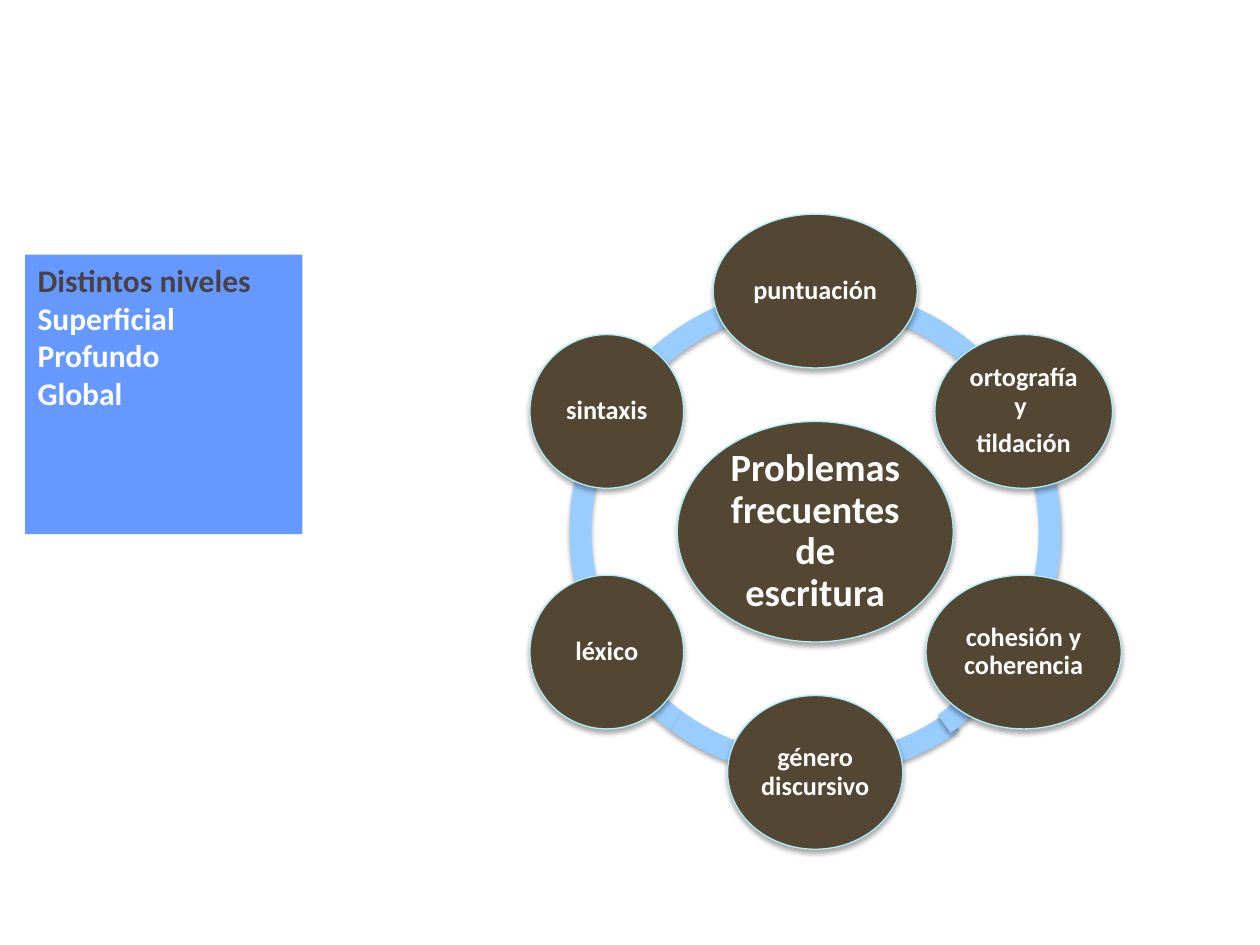
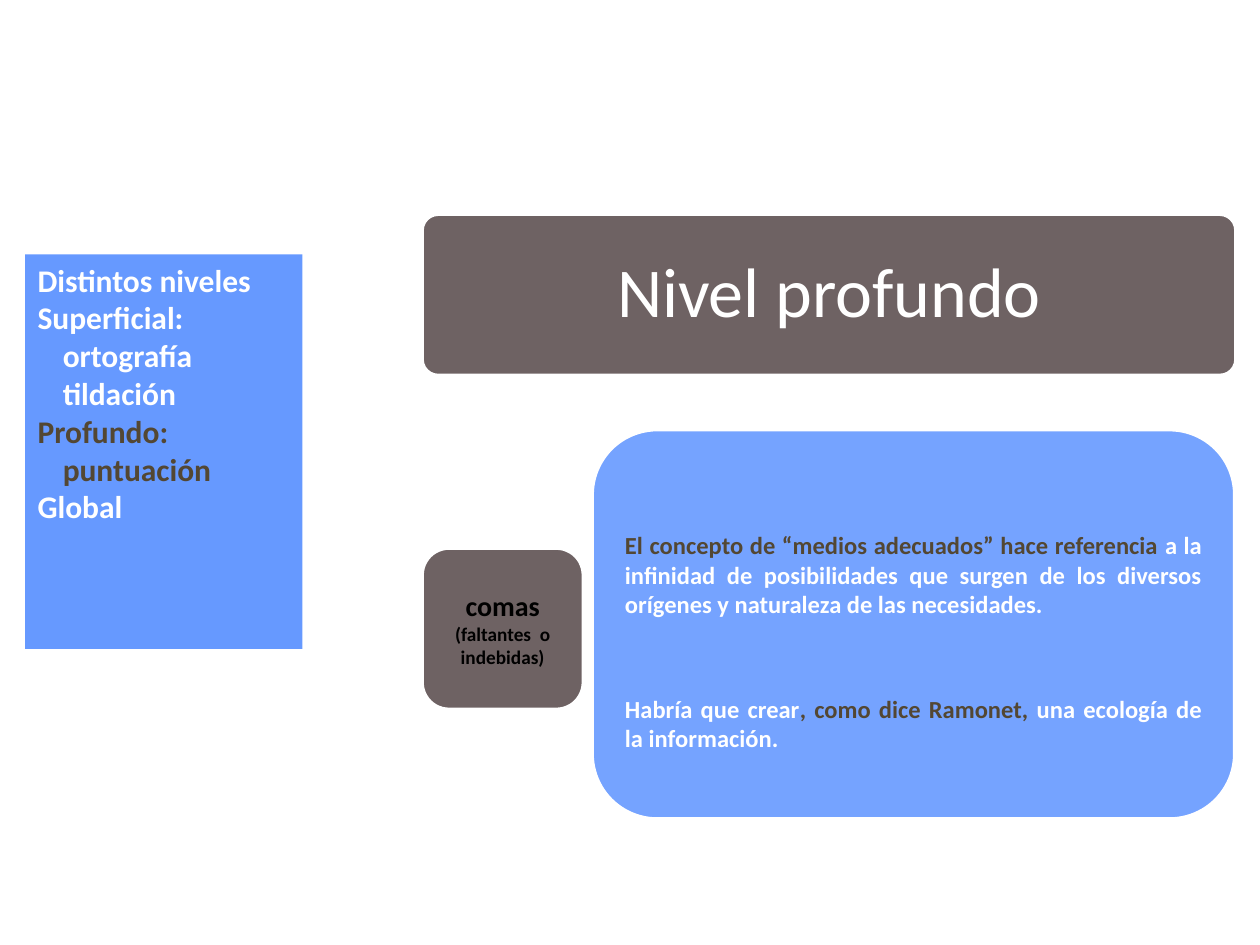
from math import cos, radians, sin

from lxml import etree
from pptx import Presentation
from pptx.dml.color import RGBColor
from pptx.enum.shapes import MSO_SHAPE
from pptx.enum.text import MSO_ANCHOR, PP_ALIGN
from pptx.oxml.ns import qn
from pptx.util import Inches, Pt

OVAL, ARC = MSO_SHAPE.OVAL, MSO_SHAPE.BLOCK_ARC
RECT, ROUNDED = MSO_SHAPE.RECTANGLE, MSO_SHAPE.ROUNDED_RECTANGLE
TOP, MIDDLE = MSO_ANCHOR.TOP, MSO_ANCHOR.MIDDLE
LEFT, CENTER, JUSTIFY = PP_ALIGN.LEFT, PP_ALIGN.CENTER, PP_ALIGN.JUSTIFY

WHITE = RGBColor(0xFF, 0xFF, 0xFF)
BLACK = RGBColor(0x00, 0x00, 0x00)
BROWN = RGBColor(0x53, 0x47, 0x33)
GREY = RGBColor(0x6E, 0x62, 0x63)
DARK = RGBColor(0x49, 0x41, 0x42)
BLUE = RGBColor(0x66, 0x99, 0xFF)
RING_BLUE = RGBColor(0x99, 0xCC, 0xFF)
RIM = RGBColor(0xAE, 0xEF, 0xFC)
FONT = "Calibri"

LEVELS = [
    ("Distintos niveles", DARK, 0),
    ("Superficial", WHITE, 0),
    ("Profundo", WHITE, 0),
    ("Global", WHITE, 0),
]
DETAILED_LEVELS = [
    ("Distintos niveles", WHITE, 0),
    ("Superficial:", WHITE, 0),
    ("ortografía tildación", WHITE, 0.2),
    ("Profundo:", BROWN, 0),
    ("puntuación", BROWN, 0.2),
    ("Global", WHITE, 0),
]

CORE_PROBLEM = "Problemas frecuentes de escritura"
PROBLEMS = [
    (["puntuación"], 1.62),
    (["ortografía y ", "tildación"], 1.41),
    (["cohesión y coherencia"], 1.55),
    (["género discursivo"], 1.39),
    (["léxico"], 1.22),
    (["sintaxis"], 1.22),
]
RING_CENTER = (6.47, 4.22)
RING_RADIUS = 1.91
RING_SIZE = 3.9
RING_ARCS = [
    (126, 162, 4.52, 2.27),
    (90, 126, 4.52, 2.27),
    (54, 90, 4.52, 2.27),
    (18, 54, 4.45, 2.29),
    (198, 18, 4.52, 2.27),
    (162, 198, 4.52, 2.27),
]

HEADING = "Nivel profundo"
COMMAS = [("comas", 16), ("(faltantes  o indebidas)", 11)]
EXAMPLES = [
    [
        ("El concepto de “medios adecuados” hace referencia ", BROWN),
        ("a la infinidad de posibilidades que surgen de los diversos "
         "orígenes y naturaleza de las necesidades. ", WHITE),
    ],
    [
        ("Habría que crear", WHITE),
        (", como dice Ramonet, ", BROWN),
        ("una ecología de la información.", WHITE),
    ],
]


def add_block(slide, kind, box, fill, line=None, line_width=0.75, adjust=(),
              margins=(0.1, 0.05, 0.1, 0.05), anchor=MIDDLE):
    block = slide.shapes.add_shape(kind, *map(Inches, box))
    for index, value in enumerate(adjust):
        block.adjustments[index] = value
    block.shadow.inherit = False
    block.fill.solid()
    block.fill.fore_color.rgb = fill
    if line is None:
        block.line.fill.background()
    else:
        block.line.color.rgb = line
        block.line.width = Pt(line_width)
    frame = block.text_frame
    frame.word_wrap = True
    frame.vertical_anchor = anchor
    (frame.margin_left, frame.margin_top,
     frame.margin_right, frame.margin_bottom) = map(Inches, margins)
    return block


def write(block, runs, size=18, color=WHITE, bold=True, align=CENTER,
          spacing=1.0, after=0, indent=0):
    frame = block.text_frame
    paragraph = frame.paragraphs[0] if not frame.text else frame.add_paragraph()
    paragraph.alignment = align
    paragraph.line_spacing = spacing
    paragraph.space_after = Pt(after)
    if indent:
        paragraph._p.get_or_add_pPr().set("marL", str(Inches(indent)))
    if isinstance(runs, str):
        runs = [(runs, color)]
    for text, run_color in runs:
        run = paragraph.add_run()
        run.text = text
        run.font.name = FONT
        run.font.size = Pt(size)
        run.font.bold = bold
        run.font.color.rgb = run_color


def add_color_alpha(color_element, percent):
    etree.SubElement(color_element, qn("a:alpha"), val=str(percent * 1000))


def cast_shadow(block):
    effects = block._element.spPr.find(qn("a:effectLst"))
    shadow = etree.SubElement(
        effects, qn("a:outerShdw"), blurRad=str(Pt(3.1)), dist=str(Pt(1.8)),
        dir=str(90 * 60000), rotWithShape="0")
    add_color_alpha(etree.SubElement(shadow, qn("a:srgbClr"), val=str(BLACK)), 35)


def add_levels(slide, levels, height):
    panel = add_block(slide, RECT, (0.2, 2.02, 2.2, height), BLUE, anchor=TOP)
    for text, color, indent in levels:
        write(panel, text, color=color, align=LEFT, indent=indent)


def add_bubble(slide, center, width, height, lines, size, margin):
    x, y = center
    bubble = add_block(slide, OVAL, (x - width / 2, y - height / 2, width, height),
                       BROWN, RIM, margins=(margin,) * 4)
    cast_shadow(bubble)
    for line in lines:
        write(bubble, line, size=size, spacing=0.9, after=size * 0.35)


def build_problems(slide):
    for start, end, left, top in RING_ARCS:
        arc = add_block(slide, ARC, (left, top, RING_SIZE, RING_SIZE), RING_BLUE,
                        adjust=(start * 0.6, end * 0.6, 0.045))
        cast_shadow(arc)
    add_bubble(slide, RING_CENTER, 2.19, 1.75, [CORE_PROBLEM], 22, 0.03)
    for index, (lines, width) in enumerate(PROBLEMS):
        angle = radians(index * 360 / len(PROBLEMS) - 90)
        center = (RING_CENTER[0] + RING_RADIUS * cos(angle),
                  RING_CENTER[1] + RING_RADIUS * sin(angle))
        add_bubble(slide, center, width, 1.22, lines, 15, 0.02)
    add_levels(slide, LEVELS, 2.22)


def build_deep_level(slide):
    add_levels(slide, DETAILED_LEVELS, 3.13)
    heading = add_block(slide, ROUNDED, (3.35, 1.7, 6.46, 1.28), GREY, WHITE, 2,
                        adjust=(0.1,), margins=(0.08, 0.06, 0.08, 0.06))
    write(heading, HEADING, size=40, bold=False, spacing=0.9)

    commas = add_block(slide, ROUNDED, (3.35, 4.35, 1.28, 1.28), GREY, WHITE, 2,
                       adjust=(0.167,), margins=(0.13, 0.05, 0.13, 0.05))
    for text, size in COMMAS:
        write(commas, text, size=size, color=BLACK)

    examples = add_block(slide, ROUNDED, (4.7, 3.41, 5.1, 3.09), BLUE, WHITE, 2,
                         adjust=(0.167,), margins=(0.11, 0.38, 0.11, 0.11))
    add_color_alpha(examples._element.spPr.find(qn("a:solidFill"))[0], 90)
    for runs, after in zip(EXAMPLES, (43, 0)):
        write(examples, runs, size=14, align=JUSTIFY, after=after)


def main():
    deck = Presentation()
    deck.slide_width, deck.slide_height = Inches(10), Inches(7.5)
    blank = deck.slide_layouts[6]
    for build in (build_problems, build_deep_level):
        build(deck.slides.add_slide(blank))
    deck.save("out.pptx")


if __name__ == "__main__":
    main()
